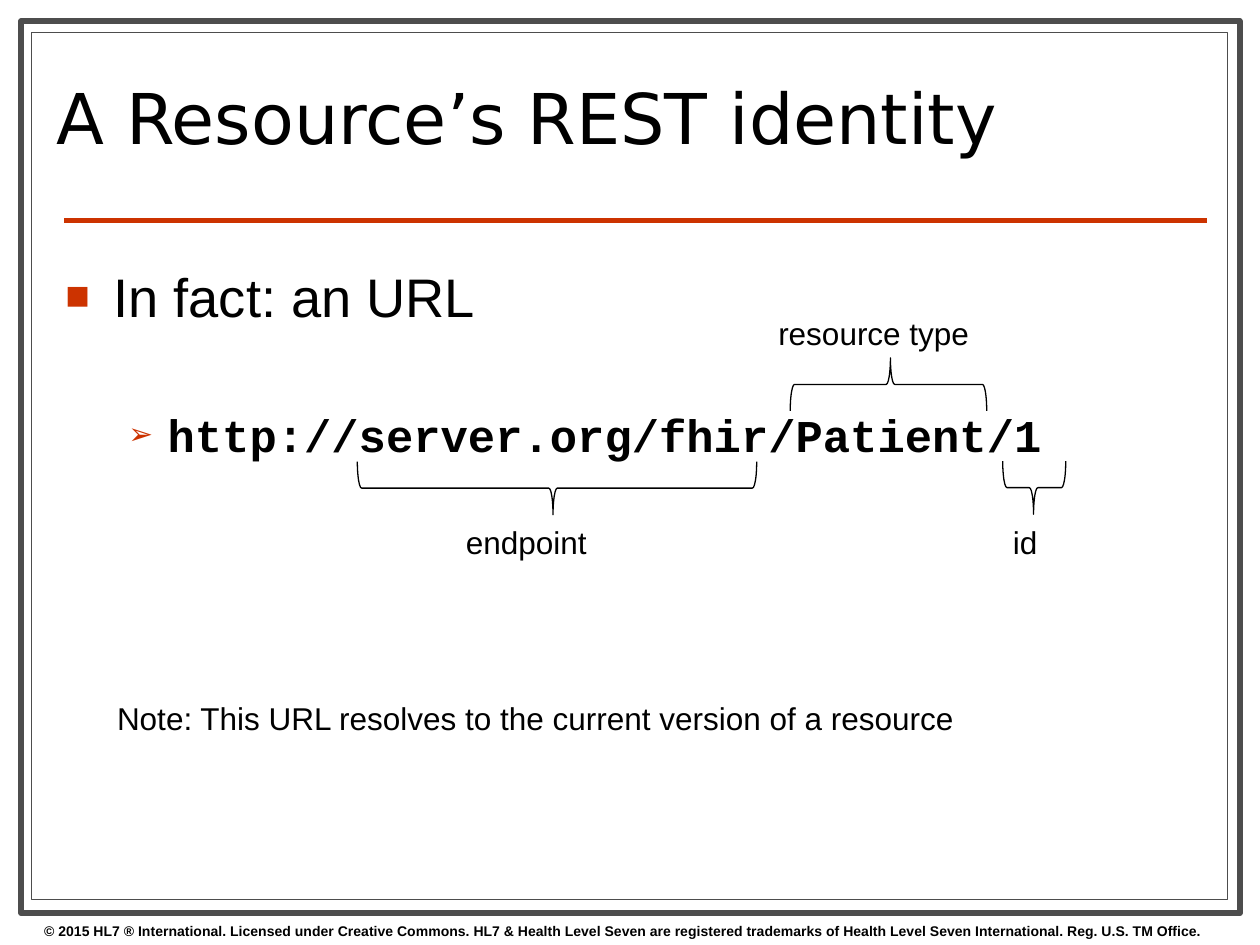
from lxml import etree
from pptx import Presentation, util as u
from pptx.dml.color import RGBColor
from pptx.enum import shapes, text
from pptx.oxml.ns import qn

BLACK = RGBColor(0x00, 0x00, 0x00)
WHITE = RGBColor(0xFF, 0xFF, 0xFF)
GREY = RGBColor(0x4D, 0x4D, 0x4D)
RED = RGBColor(0xCC, 0x33, 0x00)

# Content; all positions and lengths are in cm
TITLE = "A Resource’s REST identity"
FOOTER = ("© 2015 HL7 ® International. Licensed under Creative Commons. "
          "HL7 & Health Level Seven are registered trademarks of "
          "Health Level Seven International. Reg. U.S. TM Office.")

# left, top, width, height, line width in points
FRAMES = [(0.43, 0.43, 24.56, 17.98, 3.5), (0.64, 0.66, 24.1, 17.48, 0.75)]

BULLETS = [
    dict(text="In fact: an URL", font="Arial", size=31, bold=False, level=0,
         margin=0.97, hanging=0.97, mark="■", mark_size=75, before=0),
    dict(text="http://server.org/fhir/Patient/1", font="Courier New", size=26,
         bold=True, level=1, margin=2.06, hanging=0.79, mark="➢",
         mark_size=65, before=45),
]

# centre x, centre y, span, rotation
BRACE_DEPTH = 1.07
BRACES = [(11.23, 9.84, 8.05, 270), (17.91, 7.75, 3.96, 90),
          (20.85, 9.83, 1.27, 270)]

# text, left, top, width
LABEL_HEIGHT = 1.02
LABELS = [
    ("endpoint", 9.14, 10.41, 2.97),
    ("resource type", 15.44, 6.2, 4.39),
    ("id", 20.17, 10.41, 1.02),
    ("Note: This URL resolves to the current version of a resource",
     2.11, 13.97, 17.55),
]


def lengths(*values):
    return [u.Cm(value) for value in values]


def add_run(paragraph, words, font, size, bold=False):
    run = paragraph.add_run()
    run.text = words
    run.font.name = font
    run.font.size = u.Pt(size)
    run.font.bold = bold
    run.font.color.rgb = BLACK


def add_text_frame(slide, left, top, width, height, wrap=True):
    box = slide.shapes.add_textbox(*lengths(left, top, width, height))
    box.text_frame.word_wrap = wrap
    return box.text_frame


def set_bullet(paragraph, item):
    properties = paragraph._p.get_or_add_pPr()
    properties.set("marL", str(u.Cm(item["margin"])))
    properties.set("indent", str(-u.Cm(item["hanging"])))
    color = etree.SubElement(properties, qn("a:buClr"))
    etree.SubElement(color, qn("a:srgbClr"), val=str(RED))
    etree.SubElement(properties, qn("a:buSzPct"),
                     val=str(item["mark_size"] * 1000))
    etree.SubElement(properties, qn("a:buFont"), typeface="Arial")
    etree.SubElement(properties, qn("a:buChar"), char=item["mark"])


def add_frames_and_rule(slide):
    for left, top, width, height, weight in FRAMES:
        frame = slide.shapes.add_shape(shapes.MSO_SHAPE.RECTANGLE,
                                       *lengths(left, top, width, height))
        frame.shadow.inherit = False
        frame.fill.solid()
        frame.fill.fore_color.rgb = WHITE
        frame.line.color.rgb = GREY
        frame.line.width = u.Pt(weight)
    rule = slide.shapes.add_connector(shapes.MSO_CONNECTOR.STRAIGHT,
                                      *lengths(1.3, 4.45, 24.33, 4.45))
    rule.line.color.rgb = RED
    rule.line.width = u.Pt(3)
    etree.SubElement(rule._element.spPr, qn("a:effectLst"))


def add_brace(slide, center_x, center_y, span, rotation):
    # The unrotated brace is upright: its height becomes the span
    brace = slide.shapes.add_shape(
        shapes.MSO_SHAPE.LEFT_BRACE,
        *lengths(center_x - BRACE_DEPTH / 2, center_y - span / 2,
                 BRACE_DEPTH, span))
    brace.rotation = rotation
    brace.adjustments[0] = 0.08
    brace.adjustments[1] = 0.49
    brace.shadow.inherit = False
    brace.fill.background()
    brace.line.color.rgb = BLACK
    brace.line.width = u.Pt(0.75)


def main():
    presentation = Presentation()
    presentation.slide_width, presentation.slide_height = lengths(25.4, 19.05)
    slide = presentation.slides.add_slide(presentation.slide_layouts[6])

    add_frames_and_rule(slide)

    # Footer and title
    footer = add_text_frame(slide, 0.64, 18.47, 25.4, 0.58)
    add_run(footer.paragraphs[0], FOOTER, "Arial", 8, bold=True)
    title = add_text_frame(slide, 0.89, 0.91, 20.37, 3.2)
    title.vertical_anchor = text.MSO_ANCHOR.MIDDLE
    title.paragraphs[0].line_spacing = 0.8
    add_run(title.paragraphs[0], TITLE, "DejaVu Sans", 40)

    # Bulleted body
    body = add_text_frame(slide, 1.07, 5.18, 23.29, 12.35)
    for index, item in enumerate(BULLETS):
        paragraph = body.add_paragraph() if index else body.paragraphs[0]
        paragraph.level = item["level"]
        set_bullet(paragraph, item)
        if item["before"]:
            paragraph.space_before = u.Pt(item["before"])
        add_run(paragraph, item["text"], item["font"], item["size"],
                item["bold"])

    # Braces around the URL parts, with their labels and the note
    for brace in BRACES:
        add_brace(slide, *brace)
    for words, left, top, width in LABELS:
        label = add_text_frame(slide, left, top, width, LABEL_HEIGHT,
                               wrap=False)
        add_run(label.paragraphs[0], words, "Arial", 18)

    presentation.save("out.pptx")


if __name__ == "__main__":
    main()
